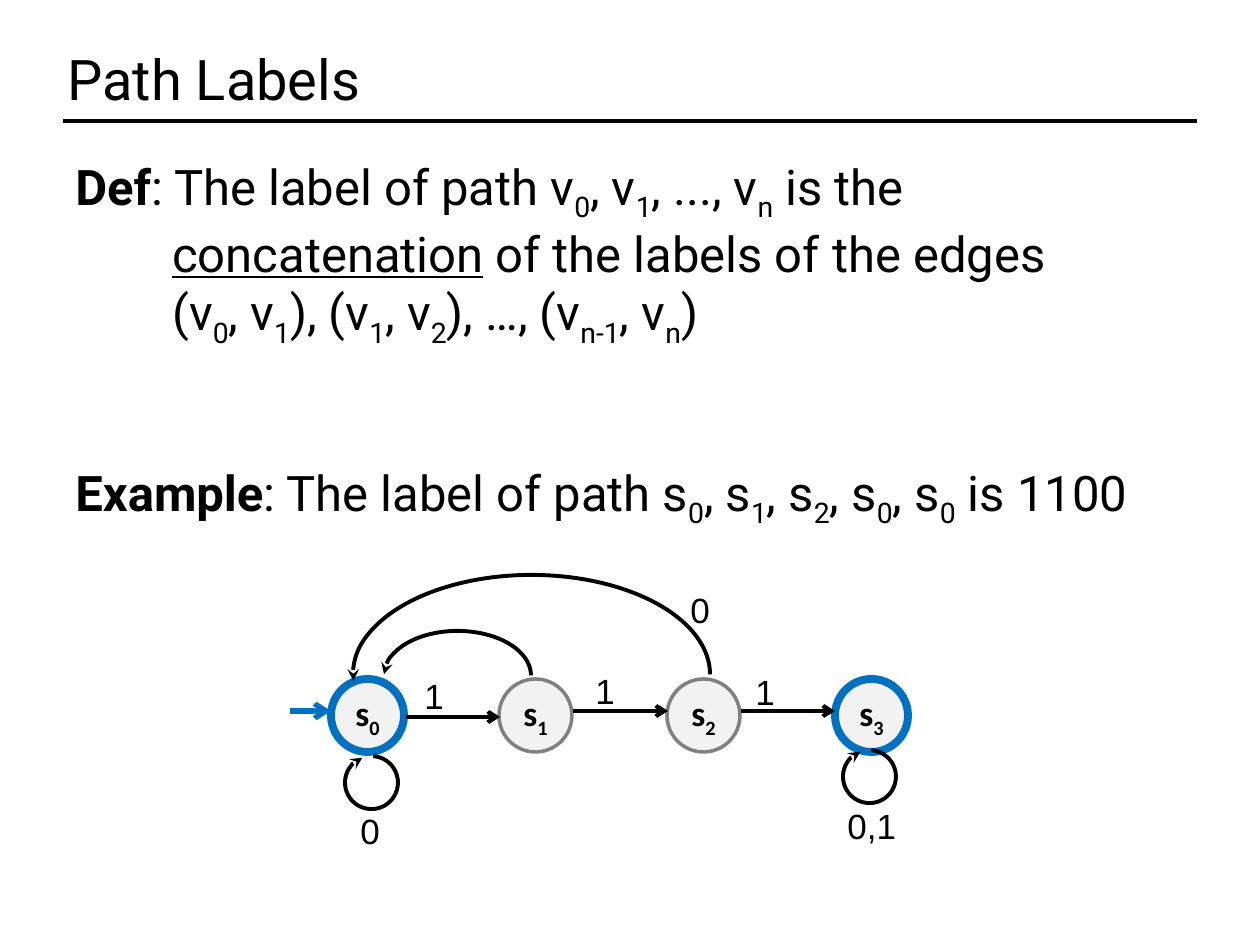
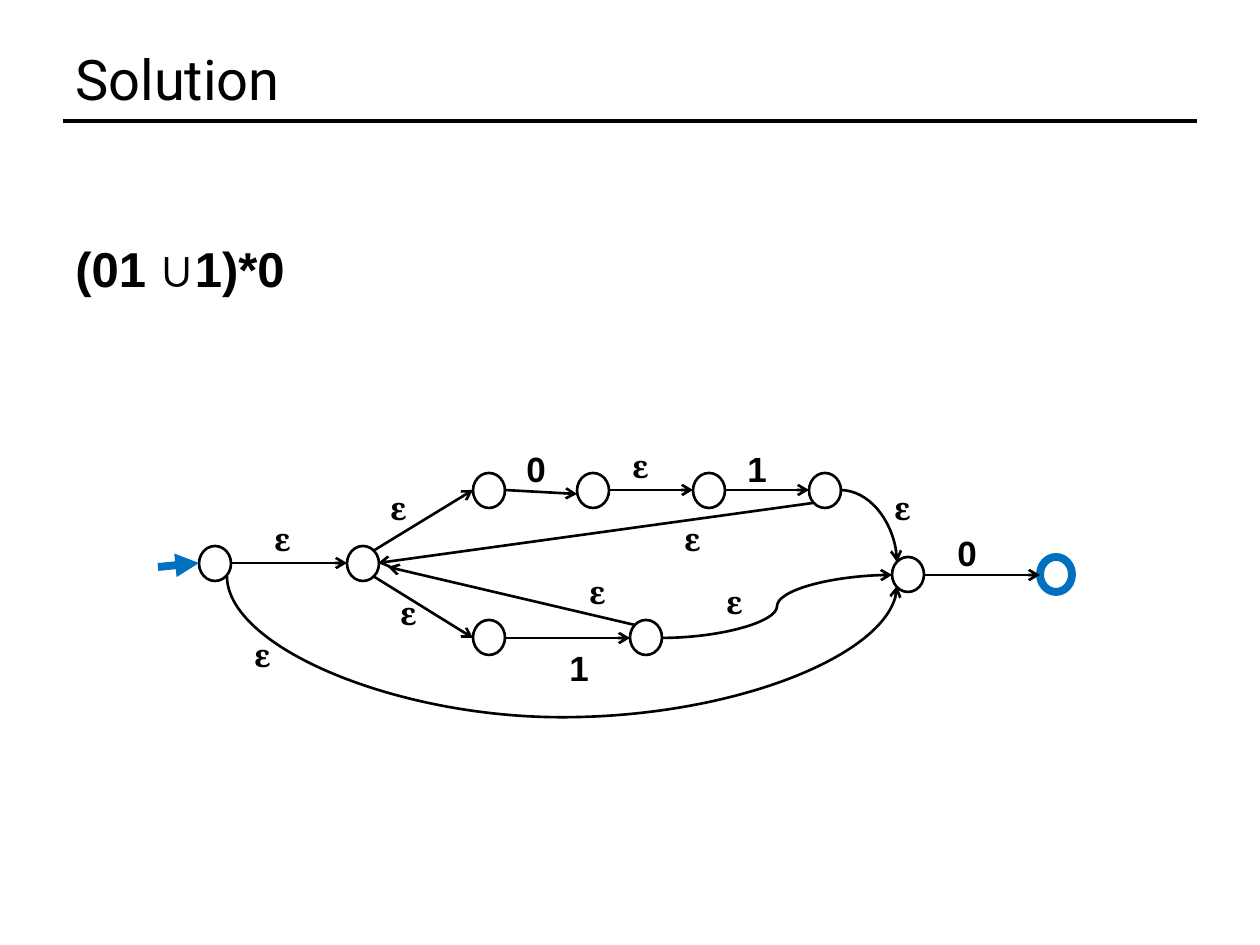
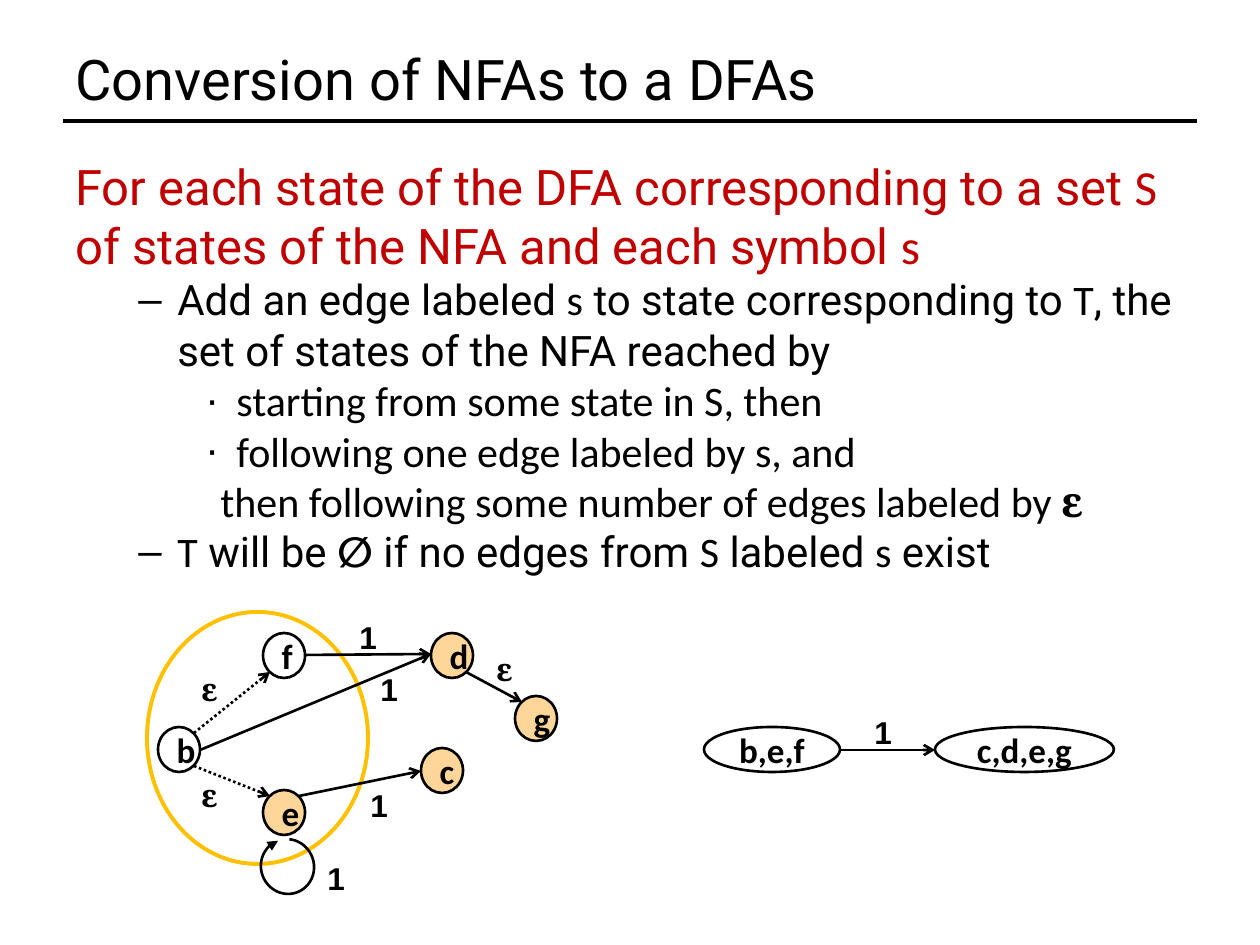
from lxml.etree import SubElement
from pptx import Presentation
from pptx.dml.color import RGBColor
from pptx.enum.dml import MSO_LINE
from pptx.enum.shapes import MSO_CONNECTOR, MSO_SHAPE
from pptx.enum.text import MSO_ANCHOR, PP_ALIGN
from pptx.oxml.ns import qn
from pptx.util import Emu, Pt

PIXELS_PER_INCH = 126
COLORS = {
    "ink": "000000",
    "accent": "0070C0",
    "heading": "C00000",
    "gray": "808080",
    "pale": "F2F2F2",
    "peach": "FFD699",
    "gold": "FFC000",
}
TITLE_FONT, NODE_FONT, LABEL_FONT, EPSILON_FONT = "Roboto", "Calibri", "Arial", "Cambria"
EPSILON = "ɛ"


def px(length):
    return Emu(round(length * 914400 / PIXELS_PER_INCH))


def rgb(name):
    return RGBColor.from_string(COLORS[name])


def set_font(font, name, size, bold=False, color="ink"):
    font.name = name
    font.size = Pt(size)
    font.bold = bold
    font.color.rgb = rgb(color)


def set_line(shape, color, width, head=None, tail=None):
    """Style an outline; head and tail name the arrowheads at its start and end."""
    shape.line.color.rgb = rgb(color)
    shape.line.width = Pt(width)
    outline = shape.line._get_or_add_ln()
    for tag, kind in (("a:headEnd", head), ("a:tailEnd", tail)):
        if kind:
            SubElement(outline, qn(tag), type=kind)


def subscript(span):
    span.font._element.set("baseline", "-25000")


def bold(span):
    span.font.bold = True


def underline(span):
    span.font.underline = True


def node_font(span):
    span.font.name = NODE_FONT


def epsilon_font(span):
    span.font.name = EPSILON_FONT
    span.font.bold = True


def add_spans(para, text, mark):
    """Add text to a paragraph, applying mark to the parts in braces."""
    for index, part in enumerate(text.replace("}", "{").split("{")):
        if part:
            span = para.add_run()
            span.text = part
            if index % 2:
                mark(span)


def set_indent(para, left, first, bullet=None):
    properties = para._p.get_or_add_pPr()
    properties.set("marL", str(px(left)))
    properties.set("indent", str(px(first)))
    if bullet:
        SubElement(properties, qn("a:buFont"), typeface="Arial")
        SubElement(properties, qn("a:buChar"), char=bullet)


def add_text_box(page, left, top, width, height):
    box = page.shapes.add_textbox(px(left), px(top), px(width), px(height))
    box.text_frame.word_wrap = True
    return box.text_frame


def add_label(page, left, top, text, font=LABEL_FONT, size=20, bold=True, width=40):
    para = add_text_box(page, left, top, width, round(size * 2.75)).paragraphs[0]
    set_font(para.font, font, size, bold)
    para.add_run().text = text


def add_epsilons(page, places):
    for left, top in places:
        add_label(page, left, top, EPSILON, EPSILON_FONT, 18)


def add_node(page, left, top, width, height, text="", fill=None, color="ink", weight=1.5):
    """Draw one state; braces in its text mark a subscript."""
    node = page.shapes.add_shape(MSO_SHAPE.OVAL, px(left), px(top), px(width), px(height))
    node.shadow.inherit = False
    if fill:
        node.fill.solid()
        node.fill.fore_color.rgb = rgb(fill)
    else:
        node.fill.background()
    set_line(node, color, weight)
    if text:
        node.text_frame.vertical_anchor = MSO_ANCHOR.MIDDLE
        para = node.text_frame.paragraphs[0]
        para.alignment = PP_ALIGN.CENTER
        set_font(para.font, NODE_FONT, 20, True)
        add_spans(para, text, subscript)


def add_arrow(page, start, end, color="ink", weight=1.5, tail="arrow",
              kind=MSO_CONNECTOR.STRAIGHT):
    arrow = page.shapes.add_connector(kind, *map(px, start + end))
    SubElement(arrow._element.spPr, qn("a:effectLst"))
    set_line(arrow, color, weight, tail=tail)
    return arrow


def add_arc(page, left, top, width, height, start, weight=2.25, rotation=0, head=None, tail=None):
    arc = page.shapes.add_shape(MSO_SHAPE.ARC, px(left), px(top), px(width), px(height))
    arc.shadow.inherit = False
    arc.fill.background()
    arc.adjustments[0] = start
    arc.adjustments[1] = 0
    arc.rotation = rotation
    set_line(arc, "ink", weight, head, tail)


def add_loop(page, left, top, width, weight=2.25, tail="stealth"):
    add_arc(page, left, top, width, 53, 14.54, weight, 249.8, tail=tail)


def add_page(deck, title, left=63):
    page = deck.slides.add_slide(deck.slide_layouts[6])
    add_arrow(page, (63, 121), (1197, 121), weight=2, tail=None)
    para = add_text_box(page, left, 38, 1134, 83).paragraphs[0]
    set_font(para.font, TITLE_FONT, 32)
    para.add_run().text = title
    return page


def build_path_labels(deck):
    page = add_page(deck, "Path Labels", 55)
    frame = add_text_box(page, 63, 150, 1134, 400)
    definition = frame.paragraphs[0]
    set_indent(definition, 97, -97)
    add_spans(definition, "{Def}", bold)
    add_spans(definition, ": The label of path v{0}, v{1}, ..., v{n} is the", subscript)
    definition.add_line_break()
    add_spans(definition, "{concatenation} of the labels of the edges", underline)
    definition.add_line_break()
    add_spans(definition, "(v{0}, v{1}), (v{1}, v{2}), …, (v{n-1}, v{n})", subscript)
    example = frame.add_paragraph()
    example.space_before = Pt(65)
    add_spans(example, "{Example}", bold)
    add_spans(example, ": The label of path s{0}, s{1}, s{2}, s{0}, s{0} is 1100", subscript)
    for para in frame.paragraphs:
        set_font(para.font, TITLE_FONT, 28)

    for index in range(4):
        outline = ("accent", 4.5) if index in (0, 3) else ("gray", 2)
        add_node(page, 331 + 168 * index, 679, 73, 73, f"s{{{index}}}", "pale", *outline)
    for left, right, height in ((406, 500, 717), (573, 668, 711), (741, 835, 711)):
        add_arrow(page, (left, height), (right, height), weight=2.25)
    add_arrow(page, (290, 711), (331, 711), "accent", 3)
    add_arc(page, 384, 631, 147, 89, 108.56, head="stealth")
    add_arc(page, 353, 575, 357, 199, 106.77, head="stealth")
    add_loop(page, 345, 756, 53)
    add_loop(page, 843, 750, 53)
    for left, top, text in ((412, 668, "1"), (583, 663, "1"), (743, 664, "1"),
                            (678, 582, "0"), (348, 803, "0")):
        add_label(page, left, top, text, bold=False, width=32)
    add_label(page, 835, 798, "0,1", bold=False, width=111)


def build_solution(deck):
    page = add_page(deck, "Solution")
    add_label(page, 63, 232, "(01 ∪1)*0", size=28, width=240)

    nodes = ((199, 546), (347, 546), (473, 473), (577, 473), (693, 473), (809, 473),
             (473, 620), (630, 620), (892, 557))
    for left, top in nodes:
        add_node(page, left, top, 32, 35)
    add_node(page, 1040, 557, 32, 35, color="accent", weight=4.5)

    add_arrow(page, (158, 567), (199, 563), "accent", 4.5, "triangle")
    edges = (
        ((231, 563), (347, 563)), ((373, 551), (473, 490)), ((373, 576), (473, 638)),
        ((504, 490), (577, 494)), ((609, 490), (693, 490)), ((725, 490), (809, 490)),
        ((504, 638), (630, 638)), ((924, 575), (1040, 575)),
        ((813, 503), (378, 563)), ((635, 625), (388, 567)),
    )
    for start, end in edges:
        add_arrow(page, start, end)

    add_arrow(page, (662, 638), (892, 575), kind=MSO_CONNECTOR.CURVE)
    bend = add_arrow(page, (840, 490), (897, 562), kind=MSO_CONNECTOR.CURVE)
    bend._element.spPr.prstGeom.set("prst", "curvedConnector2")
    # The long curve is a narrow upright connector turned on its side.
    sweep = add_arrow(page, (567, 246), (557, 916), kind=MSO_CONNECTOR.CURVE)
    properties = sweep._element.spPr
    properties.xfrm.set("rot", str(270 * 60000))
    guides = properties.prstGeom.get_or_add_avLst()
    SubElement(guides, qn("a:gd"), name="adj1", fmla="val 1410000")

    for left, top, text in ((514, 441, "0"), (735, 441, "1"), (945, 525, "0"), (557, 640, "1")):
        add_label(page, left, top, text, width=45)
    add_epsilons(page, ((262, 514), (378, 483), (388, 588), (620, 441), (577, 567),
                        (672, 514), (242, 630), (714, 577), (882, 483)))


def build_conversion(deck):
    page = add_page(deck, "Conversion of NFAs to a DFAs")
    frame = add_text_box(page, 63, 150, 1134, 440)
    heading = frame.paragraphs[0]
    set_font(heading.font, TITLE_FONT, 28, color="heading")
    add_spans(heading, "For each state of the DFA corresponding to a set {S} "
                       "of states of the NFA and each symbol {s}", node_font)
    dash, dot, plain = (102, -39, "–"), (161, -30, "∙"), (145, 0)
    items = (
        (dash, TITLE_FONT, (("Add an edge labeled {s} to state corresponding to {T}, the set "
                             "of states of the NFA reached by", node_font),)),
        (dot, NODE_FONT, (("starting from some state in S, then", None),)),
        (dot, NODE_FONT, (("following one edge labeled by s, and", None),)),
        (plain, NODE_FONT, (("then following some number of edges labeled by {ɛ}",
                             epsilon_font),)),
        (dash, TITLE_FONT, (("{T} will be ", node_font), ("{∅}", bold),
                            (" if no edges from {S} labeled {s} exist", node_font))),
    )
    for indent, font, pieces in items:
        para = frame.add_paragraph()
        set_indent(para, *indent)
        set_font(para.font, font, 24)
        for text, mark in pieces:
            add_spans(para, text, mark)

    for left, top, text, fill in ((263, 633, "f", None), (263, 790, "e", "peach"),
                                  (158, 727, "b", None), (421, 748, "c", "peach"),
                                  (431, 633, "d", "peach"), (515, 696, "g", "peach")):
        add_node(page, left, top, 42, 45, text, fill)
    add_node(page, 147, 612, 221, 252, color="gold", weight=2.25)
    add_node(page, 704, 727, 136, 45, "b,e,f")
    add_node(page, 935, 727, 179, 45, "c,d,e,g")

    for end in ((270, 672), (270, 796)):
        start = (194, 733) if end[1] < 750 else (194, 766)
        add_arrow(page, start, end).line.dash_style = MSO_LINE.ROUND_DOT
    for start, end in (((305, 655), (431, 654)), ((200, 750), (431, 654)),
                       ((299, 796), (421, 771)), ((466, 672), (522, 702)),
                       ((840, 750), (935, 750))):
        add_arrow(page, start, end)
    add_loop(page, 260, 840, 55, 1.5, "triangle")

    add_epsilons(page, ((189, 664), (189, 770), (484, 644)))
    for left, top in ((347, 612), (368, 664), (358, 780), (315, 853), (862, 707)):
        add_label(page, left, top, "1", size=18, width=43)


def main():
    deck = Presentation()
    deck.slide_width, deck.slide_height = px(1260), px(945)
    build_path_labels(deck)
    build_solution(deck)
    build_conversion(deck)
    deck.save("out.pptx")


if __name__ == "__main__":
    main()
